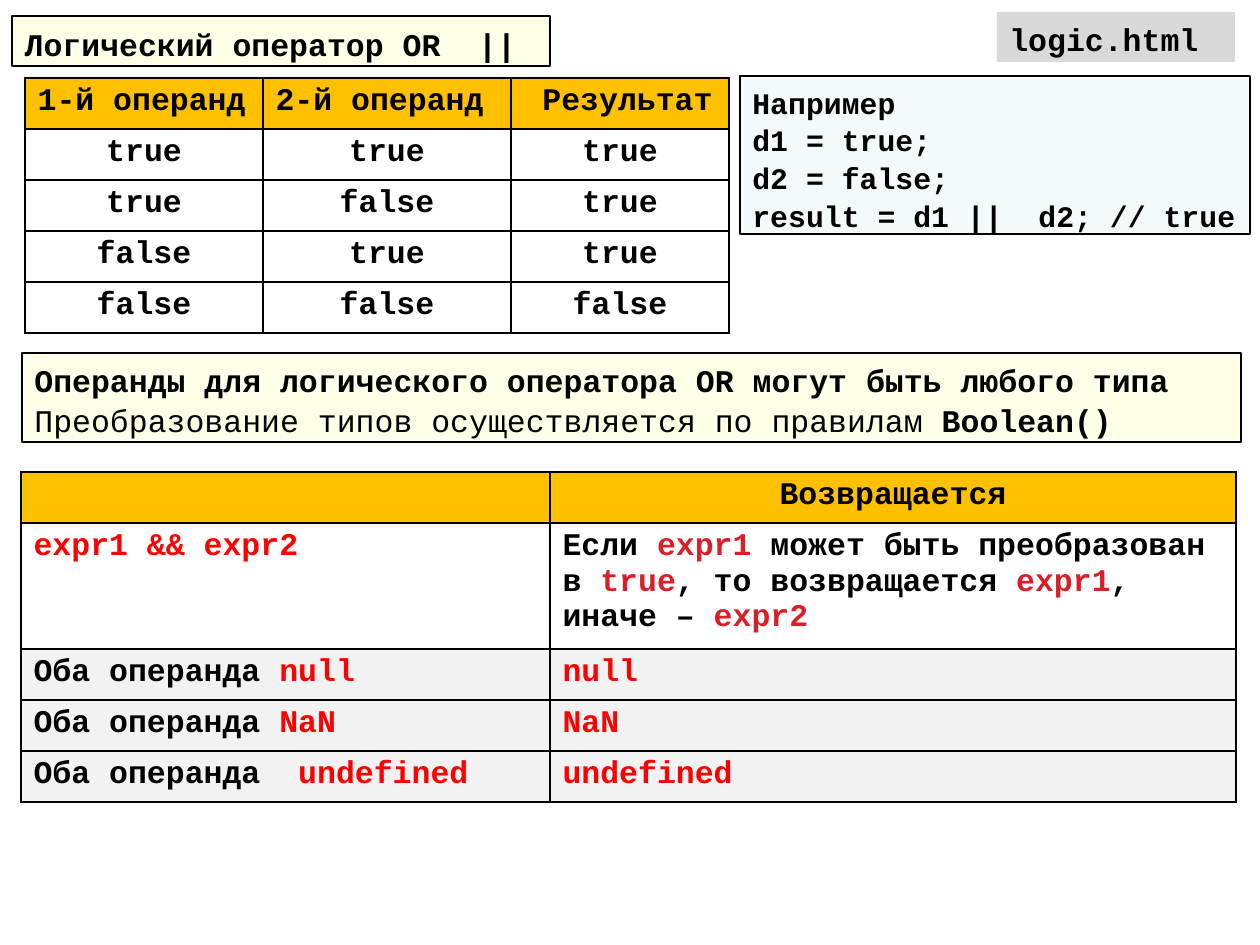
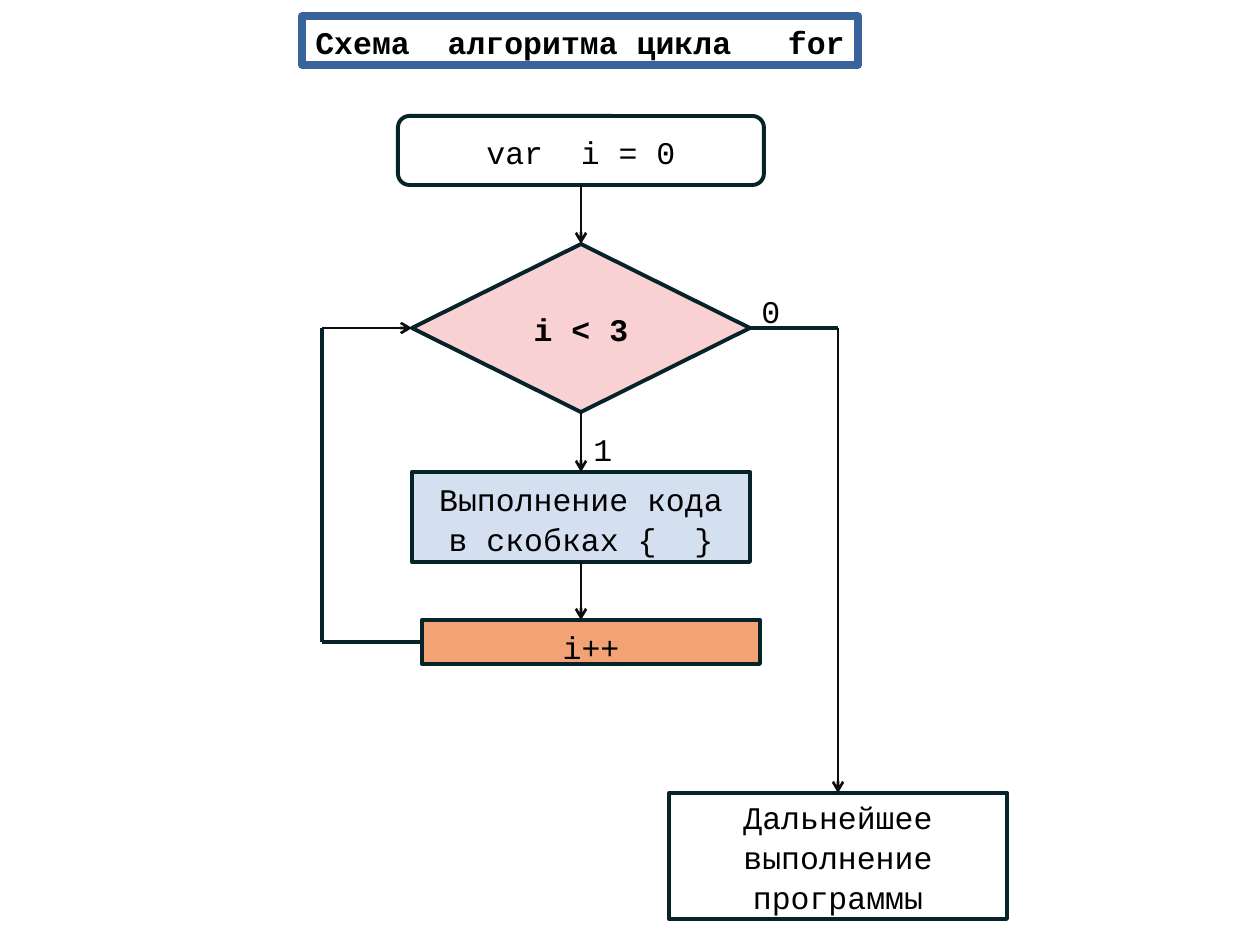
"""Build two slides: the logical OR operator and the flowchart of the for loop."""
from dataclasses import dataclass

from lxml import etree
from pptx import Presentation
from pptx import util as u
from pptx.dml.color import RGBColor
from pptx.enum import shapes, text
from pptx.oxml.ns import qn


@dataclass(frozen=True)
class Theme:
    font: str = "Courier New"
    size: float = 18
    code_size: float = 17
    spacing: float = 1.06
    black: str = "000000"
    white: str = "FFFFFF"
    red: str = "FF0000"
    crimson: str = "DA1F28"
    header: str = "FFC000"
    stripe: str = "F2F2F2"
    grey: str = "D9D9D9"
    yellow: str = "FFFF00"
    cyan: str = "7ACBE0"
    blue: str = "39639D"
    outline: str = "062329"
    arrow: str = "0D0D0D"
    pink: str = "F9D1D3"
    pale_blue: str = "D4DFEF"
    orange: str = "F3A276"
    tint: int = 9
    thin: float = 0.75
    border: float = 1
    arrow_width: float = 1.5
    thick: float = 2.25
    frame: float = 4.33


THEME = Theme()
EMU_PER_PX = 914400 / 126
SLIDE_SIZE = (1260, 945)
ROW = 51
LEFT, CENTER = text.PP_ALIGN.LEFT, text.PP_ALIGN.CENTER
TOP, MIDDLE = text.MSO_ANCHOR.TOP, text.MSO_ANCHOR.MIDDLE
KINDS = shapes.MSO_SHAPE
SITES = {0: (0.5, 0), 1: (0, 0.5), 2: (0.5, 1), 3: (1, 0.5)}


def red(words):
    return words, {"color": THEME.red}


def crimson(words):
    return words, {"color": THEME.crimson}


OR_TITLE = "Логический оператор OR  ||"
FOR_TITLE = "Схема  алгоритма цикла   for"

OR_BOXES = [
    {"box": (740, 76, 510, 158), "fill": THEME.cyan, "opacity": THEME.tint,
     "line": (THEME.black, THEME.thin), "size": THEME.code_size,
     "lines": ["Например", "d1 = true;", "d2 = false;", "result = d1 ||  d2; // true"]},
    {"box": (22, 353, 1219, 89), "fill": THEME.yellow, "opacity": THEME.tint,
     "line": (THEME.black, THEME.thin),
     "lines": ["Операнды для логического оператора OR могут быть любого типа",
               [("Преобразование типов осуществляется по правилам ", {"bold": False}),
                "Boolean()"]]},
    {"box": (997, 12, 238, 50), "fill": THEME.grey, "lines": ["logic.html"]},
]

TRUTH_TABLE = {
    "at": (25, 78), "columns": (238, 248, 218), "rows": (ROW,) * 5,
    "header_align": LEFT, "body_align": CENTER, "stripe_from": 5,
    "cells": [
        ["1-й операнд", "2-й операнд", " Результат"],
        ["true", "true", "true"],
        ["true", "false", "true"],
        ["false", "true", "true"],
        ["false", "false", "false"],
    ],
}

RETURN_TABLE = {
    "at": (21, 472), "columns": (529, 686), "rows": (ROW, 126, ROW, ROW, ROW),
    "header_align": CENTER, "body_align": LEFT, "stripe_from": 2,
    "cells": [
        ["", "Возвращается"],
        [[red("expr1 && expr2")],
         ["Если ", crimson("expr1 "), "может быть преобразован в ", crimson("true"),
          ", то возвращается ", crimson("expr1"), ", иначе – ", crimson("expr2")]],
        [["Оба операнда ", red("null")], [red("null")]],
        [["Оба операнда ", red("NaN")], [red("NaN")]],
        [["Оба операнда  ", red("undefined")], [red("undefined")]],
    ],
}

FLOW_STEPS = {
    "start": {"kind": KINDS.ROUNDED_RECTANGLE, "box": (398, 116, 366, 69),
              "anchor": MIDDLE, "lines": ["var  i = 0"]},
    "condition": {"kind": KINDS.DIAMOND, "box": (412, 244, 338, 168), "fill": THEME.pink,
                  "anchor": MIDDLE, "bold": True, "lines": ["i < 3"]},
    "body": {"box": (412, 472, 338, 90), "fill": THEME.pale_blue,
             "lines": ["Выполнение кода", "в скобках {  }"]},
    "increment": {"box": (422, 620, 338, 44), "fill": THEME.orange, "lines": ["i++"]},
    "after": {"box": (669, 793, 338, 126), "anchor": MIDDLE,
              "lines": ["Дальнейшее выполнение программы"]},
}
FLOW_LABELS = [("1", (581, 422, 49, 50)), ("0", (749, 284, 49, 50))]
RETURN_LOW, RETURN_HIGH, EXIT_CORNER = (322, 642), (322, 328), (838, 328)
FLOW_LINES = [
    (("start", 2), ("condition", 0), True),
    (("condition", 2), ("body", 0), True),
    (("body", 2), (581, 620), True),
    (("increment", 1), RETURN_LOW, False),
    (RETURN_LOW, RETURN_HIGH, False),
    (RETURN_HIGH, ("condition", 1), True),
    (("condition", 3), EXIT_CORNER, False),
    (EXIT_CORNER, ("after", 0), True),
]


def px(value):
    return u.Emu(round(value * EMU_PER_PX))


def set_all(target, values):
    for name, value in values.items():
        setattr(target, name, value)


def write(frame, lines, align=LEFT, bold=True, size=THEME.size, spacing=None):
    for index, line in enumerate(lines):
        paragraph = frame.add_paragraph() if index else frame.paragraphs[0]
        set_all(paragraph, {"alignment": align, "line_spacing": spacing})
        for part in [line] if isinstance(line, str) else line:
            words, style = (part, {}) if isinstance(part, str) else part
            run = paragraph.add_run()
            run.text = words
            set_all(run.font, {"name": THEME.font, "size": u.Pt(size),
                               "bold": style.get("bold", bold)})
            run.font.color.rgb = RGBColor.from_string(style.get("color", THEME.black))


def paint(target, color, opacity=None):
    if color is None:
        target.fill.background()
        return
    target.fill.solid()
    target.fill.fore_color.rgb = RGBColor.from_string(color)
    if opacity:
        color_node = target.fill._xPr.find(qn("a:solidFill"))[0]
        etree.SubElement(color_node, qn("a:alpha"), val=str(opacity * 1000))


def draw_line(line, color, width):
    line.color.rgb = RGBColor.from_string(color)
    line.width = u.Pt(width)


def format_box(shape, box, lines, fill=None, opacity=None, line=None, anchor=TOP,
               wrap=True, **style):
    set_all(shape, dict(zip(("left", "top", "width", "height"), map(px, box))))
    shape.shadow.inherit = False
    paint(shape, fill, opacity)
    if line:
        draw_line(shape.line, *line)
    else:
        shape.line.fill.background()
    set_all(shape.text_frame, {
        "word_wrap": wrap, "vertical_anchor": anchor, "auto_size": text.MSO_AUTO_SIZE.NONE,
        "margin_left": u.Inches(0.1), "margin_right": u.Inches(0.1),
        "margin_top": u.Inches(0.05), "margin_bottom": u.Inches(0.05)})
    write(shape.text_frame, lines, spacing=THEME.spacing, **style)
    return shape


def add_box(slide, kind=KINDS.RECTANGLE, **values):
    return format_box(slide.shapes.add_shape(kind, 0, 0, 0, 0), **values)


def add_titled_slide(presentation, title, **values):
    slide = presentation.slides.add_slide(presentation.slide_layouts[5])
    format_box(slide.shapes.title, lines=[title], wrap=False, **values)
    return slide


def add_borders(cell):
    properties = cell._tc.get_or_add_tcPr()
    for side in ("lnL", "lnR", "lnT", "lnB"):
        border = etree.SubElement(properties, qn(f"a:{side}"), w=str(u.Pt(THEME.border)))
        fill = etree.SubElement(border, qn("a:solidFill"))
        etree.SubElement(fill, qn("a:srgbClr"), val=THEME.black)


def add_grid(slide, at, columns, rows, header_align, body_align, stripe_from, cells):
    area = map(px, (*at, sum(columns), sum(rows)))
    table = slide.shapes.add_table(len(rows), len(columns), *area).table
    set_all(table, {"first_row": False, "horz_banding": False})
    for column, width in zip(table.columns, columns):
        column.width = px(width)
    for index, (row, height) in enumerate(zip(table.rows, rows)):
        row.height = px(height)
        fill = THEME.stripe if index >= stripe_from else None
        for cell, content in zip(row.cells, cells[index]):
            add_borders(cell)
            paint(cell, fill if index else THEME.header)
            write(cell.text_frame, [content], body_align if index else header_align)


def add_flow_line(slide, steps, begin, end, arrow):
    def locate(place):
        if place[0] not in steps:
            return tuple(map(px, place))
        shape, (across, down) = steps[place[0]], SITES[place[1]]
        return (round(shape.left + shape.width * across),
                round(shape.top + shape.height * down))

    connector = slide.shapes.add_connector(
        shapes.MSO_CONNECTOR.STRAIGHT, *locate(begin), *locate(end))
    for place, join in ((begin, connector.begin_connect), (end, connector.end_connect)):
        if place[0] in steps:
            join(steps[place[0]], place[1])
    color, width = (THEME.arrow, THEME.arrow_width) if arrow else (THEME.outline, THEME.thick)
    draw_line(connector.line, color, width)
    if arrow:
        etree.SubElement(connector.line._get_or_add_ln(), qn("a:tailEnd"), type="arrow")
    etree.SubElement(connector._element.spPr, qn("a:effectLst"))


def build_or_slide(presentation):
    slide = add_titled_slide(presentation, OR_TITLE, box=(12, 16, 538, 50),
                             fill=THEME.yellow, opacity=THEME.tint,
                             line=(THEME.black, THEME.thin))
    for values in OR_BOXES:
        add_box(slide, **values)
    for table in (TRUTH_TABLE, RETURN_TABLE):
        add_grid(slide, **table)


def build_for_slide(presentation):
    slide = add_titled_slide(presentation, FOR_TITLE, box=(302, 16, 556, 49),
                             fill=THEME.white, line=(THEME.blue, THEME.frame),
                             anchor=MIDDLE, align=CENTER)
    shared = {"line": (THEME.outline, THEME.thick), "align": CENTER, "bold": False}
    steps = {name: add_box(slide, **{**shared, **values})
             for name, values in FLOW_STEPS.items()}
    for label, box in FLOW_LABELS:
        format_box(slide.shapes.add_textbox(0, 0, 0, 0), box, [label], bold=False)
    for begin, end, arrow in FLOW_LINES:
        add_flow_line(slide, steps, begin, end, arrow)


def main():
    presentation = Presentation()
    presentation.slide_width, presentation.slide_height = map(px, SLIDE_SIZE)
    build_or_slide(presentation)
    build_for_slide(presentation)
    presentation.save("out.pptx")


if __name__ == "__main__":
    main()
